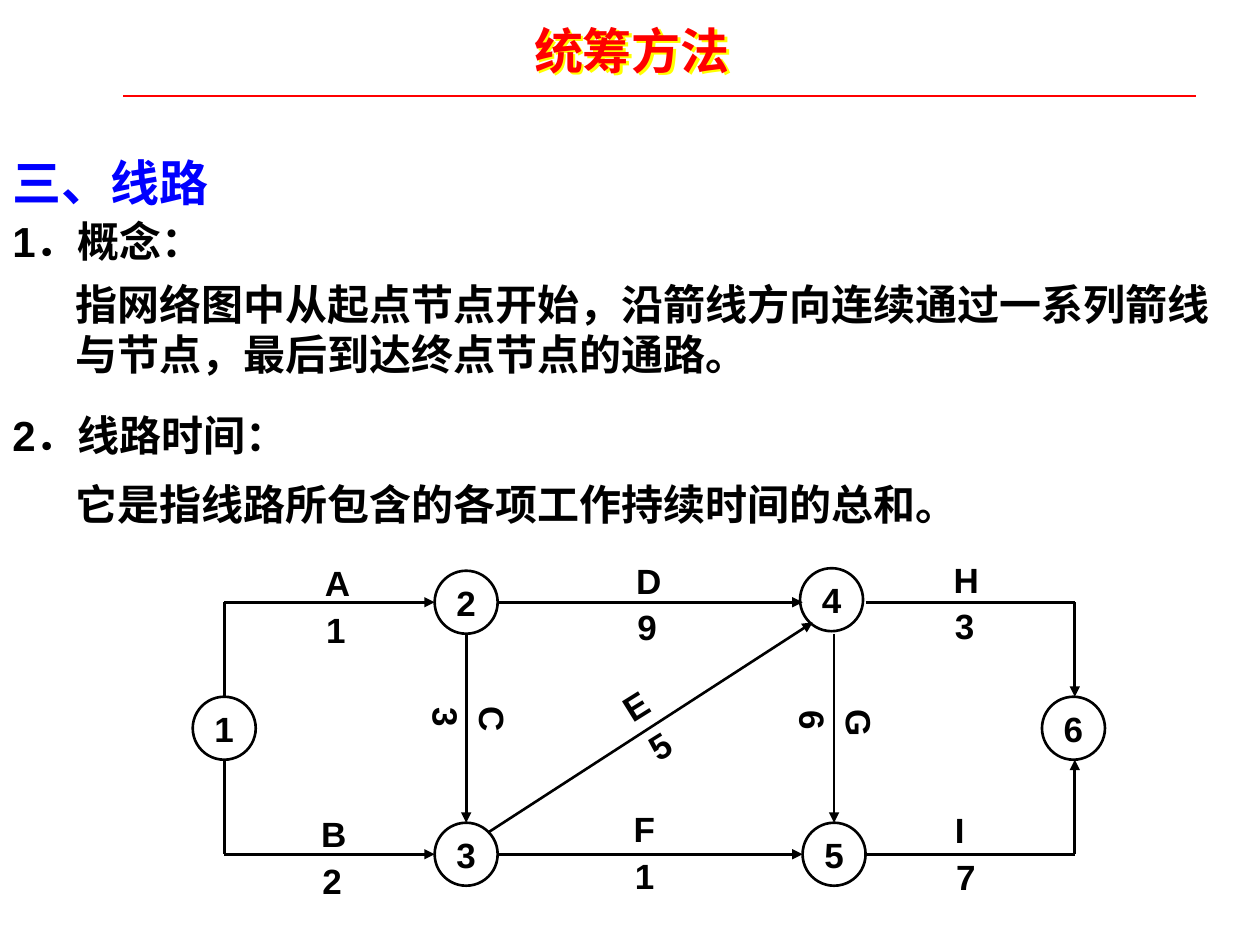
from dataclasses import dataclass
from math import cos, radians, sin

from lxml.etree import SubElement
from pptx import Presentation
from pptx.dml.color import RGBColor
from pptx.enum.shapes import MSO_CONNECTOR, MSO_SHAPE
from pptx.enum.text import MSO_ANCHOR, PP_ALIGN
from pptx.oxml.ns import qn
from pptx.util import Inches, Pt


@dataclass(frozen=True)
class Theme:
    red: str = "FF0000"
    yellow: str = "FFFF00"
    blue: str = "0000FF"
    black: str = "000000"
    latin: str = "Arial"
    serif: str = "Times New Roman"
    cjk: str = "Noto Sans CJK SC"
    heading: int = 28
    body: int = 24
    label: int = 20
    rule: float = 1
    stroke: float = 1.5


@dataclass(frozen=True)
class Passage:
    text: str
    left: float
    top: float
    width: float
    height: float = 0.5
    size: int = Theme.body
    color: str = Theme.black
    font: str = Theme.latin


@dataclass(frozen=True)
class Node:
    number: str
    x: float
    y: float


@dataclass(frozen=True)
class Activity:
    name: str
    duration: str
    route: tuple
    label: tuple  # centre of the name
    angle: float = 0


THEME = Theme()
NODE_SIZE = 0.5
RADIUS = NODE_SIZE / 2
UPPER, MIDDLE, LOWER = 4.78, 5.78, 6.78
START, SECOND, FOURTH, FIFTH, FINISH = 1.78, 3.7, 6.6, 6.62, 8.52
FINISH_LINE = 8.53
LABEL_HEIGHT = 0.44
NAME_WIDTH, DURATION_WIDTH = 0.42, 0.58
DURATION_SHIFT = (0.09, 0.37)  # from the name's centre, along and across the line

TITLE = Passage("统筹方法", 4.14, 0.11, 1.95, 0.57, THEME.heading, THEME.red, THEME.cjk)
PASSAGES = [
    Passage("三、线路", 0, 1.16, 5.58, 0.57, THEME.heading, THEME.blue, THEME.serif),
    Passage("1．概念：", 0, 1.66, 3.25),
    Passage("指网络图中从起点节点开始，沿箭线方向连续通过一系列箭线与节点，"
            "最后到达终点节点的通路。", 0.5, 2.16, 9.25, 0.9),
    Passage("2．线路时间：", 0, 3.2, 2.83),
    Passage("它是指线路所包含的各项工作持续时间的总和。", 0.5, 3.75, 9.5),
]

NODES = [
    Node("1", START, MIDDLE),
    Node("2", SECOND, UPPER),
    Node("3", SECOND, LOWER),
    Node("4", FOURTH, 4.76),
    Node("5", FIFTH, LOWER),
    Node("6", FINISH, MIDDLE),
]

above, below = MIDDLE - RADIUS, MIDDLE + RADIUS
ACTIVITIES = [
    Activity("A", "1", ((START, above), (START, UPPER), (SECOND - RADIUS, UPPER)),
             (2.69, 4.63)),
    Activity("B", "2", ((START, below), (START, LOWER), (SECOND - RADIUS, LOWER)),
             (2.66, 6.62)),
    Activity("C", "3", ((SECOND, UPPER + RADIUS), (SECOND, LOWER - RADIUS)),
             (3.91, 5.72), 90),
    Activity("D", "9", ((SECOND + RADIUS, UPPER), (FIFTH - RADIUS, UPPER)),
             (5.16, 4.61)),
    Activity("E", "5", ((3.87, 6.61), (6.45, 4.94)), (5.06, 5.59), -32),
    Activity("F", "1", ((SECOND + RADIUS, LOWER), (FIFTH - RADIUS, LOWER)),
             (5.14, 6.58)),
    Activity("G", "6", ((FIFTH, UPPER + RADIUS), (FIFTH, LOWER - RADIUS)),
             (6.82, 5.74), 90),
    Activity("H", "3", ((FIFTH + RADIUS, UPPER), (FINISH_LINE, UPPER),
                        (FINISH_LINE, above)), (7.68, 4.6)),
    Activity("I", "7", ((FIFTH + RADIUS, LOWER), (FINISH_LINE, LOWER),
                        (FINISH_LINE, below)), (7.69, 6.59)),
]


def style(paragraph, size: int, color: str, font: str) -> None:
    paragraph.font.name = font
    paragraph.font.size = Pt(size)
    paragraph.font.bold = True
    paragraph.font.color.rgb = RGBColor.from_string(color)
    defaults = paragraph._p.pPr.find(qn("a:defRPr"))
    SubElement(defaults, qn("a:ea")).set("typeface", THEME.cjk)


def add_passage(slide, passage: Passage, wrap: bool = True):
    box = slide.shapes.add_textbox(Inches(passage.left), Inches(passage.top),
                                   Inches(passage.width), Inches(passage.height))
    box.text_frame.word_wrap = wrap
    paragraph = box.text_frame.paragraphs[0]
    paragraph.text = passage.text
    style(paragraph, passage.size, passage.color, passage.font)
    return box


def add_title(slide) -> None:
    box = add_passage(slide, TITLE, wrap=False)
    effects = SubElement(box._element.spPr, qn("a:effectLst"))
    shadow = SubElement(effects, qn("a:outerShdw"), dist="25400", dir="2700000",
                        algn="ctr", rotWithShape="0")
    SubElement(shadow, qn("a:srgbClr"), val=THEME.yellow)


def add_line(slide, start: tuple, end: tuple, color: str, weight: float,
             arrow: bool = False) -> None:
    line = slide.shapes.add_connector(MSO_CONNECTOR.STRAIGHT,
                                      *(Inches(v) for v in (*start, *end)))
    line.line.color.rgb = RGBColor.from_string(color)
    line.line.width = Pt(weight)
    if arrow:
        SubElement(line.line._get_or_add_ln(), qn("a:tailEnd"), type="triangle")
    SubElement(line._element.spPr, qn("a:effectLst"))


def add_node(slide, node: Node) -> None:
    circle = slide.shapes.add_shape(
        MSO_SHAPE.OVAL, Inches(node.x - RADIUS), Inches(node.y - RADIUS),
        Inches(NODE_SIZE), Inches(NODE_SIZE))
    circle.shadow.inherit = False
    circle.fill.background()
    circle.line.color.rgb = RGBColor.from_string(THEME.black)
    circle.line.width = Pt(THEME.stroke)
    frame = circle.text_frame
    frame.margin_left = frame.margin_right = 0
    frame.margin_top = frame.margin_bottom = 0
    frame.vertical_anchor = MSO_ANCHOR.MIDDLE
    paragraph = frame.paragraphs[0]
    paragraph.text = node.number
    paragraph.alignment = PP_ALIGN.CENTER
    style(paragraph, THEME.label, THEME.black, THEME.latin)


def add_label(slide, text: str, x: float, y: float, width: float, angle: float) -> None:
    box = add_passage(slide, Passage(text, x - width / 2, y - LABEL_HEIGHT / 2,
                                     width, LABEL_HEIGHT, THEME.label))
    box.rotation = angle


def add_activity(slide, activity: Activity) -> None:
    route = activity.route
    for start, end in zip(route, route[1:]):
        add_line(slide, start, end, THEME.black, THEME.stroke, arrow=end == route[-1])
    x, y = activity.label
    along, across = DURATION_SHIFT
    turn = radians(activity.angle)
    add_label(slide, activity.name, x, y, NAME_WIDTH, activity.angle)
    add_label(slide, activity.duration,
              x + along * cos(turn) - across * sin(turn),
              y + along * sin(turn) + across * cos(turn),
              DURATION_WIDTH, activity.angle)


def main() -> None:
    deck = Presentation()
    deck.slide_width, deck.slide_height = Inches(10), Inches(7.5)
    slide = deck.slides.add_slide(deck.slide_layouts[6])

    # Title and rule
    add_title(slide)
    add_line(slide, (0.98, 0.76), (9.49, 0.76), THEME.red, THEME.rule)

    # Definitions
    for passage in PASSAGES:
        add_passage(slide, passage)

    # Activity network
    for node in NODES:
        add_node(slide, node)
    for activity in ACTIVITIES:
        add_activity(slide, activity)

    deck.save("out.pptx")


if __name__ == "__main__":
    main()
